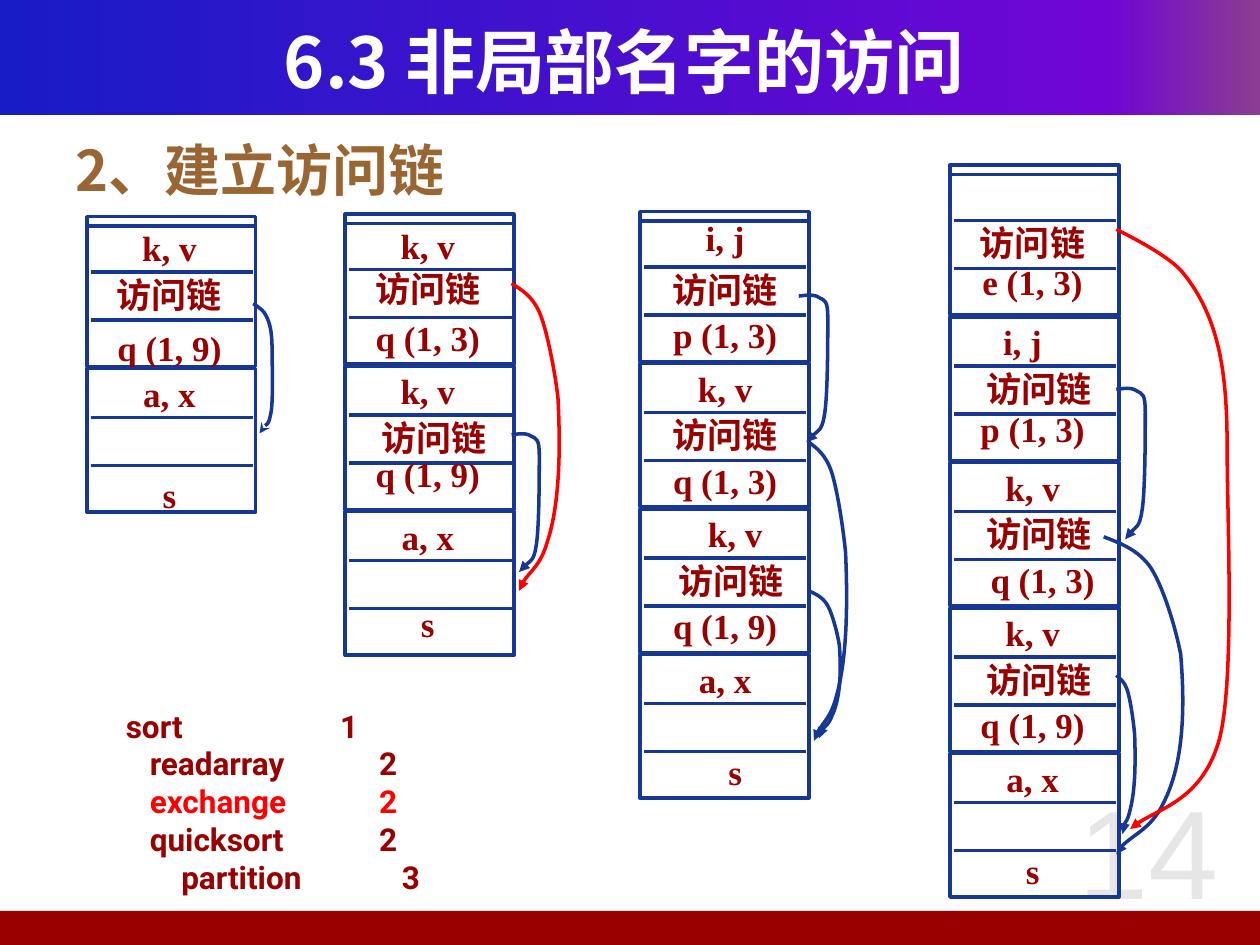
"""Builds a slide showing how access links are set up across four activation-record stacks."""
from copy import deepcopy
from dataclasses import dataclass
from typing import NamedTuple

from lxml.etree import SubElement
from pptx import Presentation
from pptx.dml.color import RGBColor
from pptx.enum.shapes import MSO_CONNECTOR, MSO_SHAPE
from pptx.enum.text import MSO_ANCHOR, MSO_AUTO_SIZE, PP_ALIGN
from pptx.oxml.ns import qn
from pptx.util import Emu, Inches, Pt

COLORS = {
    "navy": "163794", "maroon": "990000", "red": "FF0000", "brown": "996633",
    "white": "FFFFFF", "pale": "E6E6E6",
    "band_start": "181CC7", "band_middle": "7005D4", "band_end": "8C3D91",
}
CJK = "Noto Sans CJK SC"
WIDTH, HEIGHT = Inches(10), Inches(7.5)
COLUMN, ROW = WIDTH / 100, HEIGHT / 75

FRAME_WIDTH, FRAME_HEIGHT, FRAME_PITCH = 13.4, 11.4, 11.55
FIRST_EXTRA = 0.5
DIVIDERS = (3.9, 7.7)
LABEL_ROWS = (0.2, 3.9, 7.5)


class Label(NamedTuple):
    text: str
    shift: float = 0
    drop: float = 0


@dataclass
class Stack:
    left: float
    top: float
    frames: tuple[tuple[Label, ...], ...]
    shift: float = -0.2


@dataclass
class Link:
    start: tuple[float, float]
    end: tuple[float, float]
    bulge: float
    profile: str
    color: str = "navy"
    head: str = "triangle"


class Entry(NamedTuple):
    name: str
    level: str
    indent: float
    stop: float
    color: str = "maroon"


LINK, BLANK = Label("访问链"), Label("")
LINK_RIGHT = LINK._replace(shift=0.5)
KV, IJ, AX, S = map(Label, ("k, v", "i, j", "a, x", "s"))
P3, E3, Q3, Q9 = map(Label, ("p (1, 3)", "e (1, 3)", "q (1, 3)", "q (1, 9)"))

STACKS = (
    Stack(6.9, 17.2, ((KV, LINK, Q9._replace(drop=0.6)), (AX, BLANK, S._replace(drop=0.7)))),
    Stack(27.4, 17, (
        (KV, LINK._replace(drop=-0.3), Q3),
        (KV, LINK_RIGHT, Q9._replace(drop=-0.7)),
        (AX, BLANK, S._replace(drop=-0.4)))),
    Stack(50.8, 16.8, (
        (IJ._replace(drop=-0.4), LINK, P3), (KV, LINK, Q3),
        (KV._replace(shift=0.8), LINK_RIGHT, Q9), (AX, BLANK, S._replace(shift=0.8))), 0),
    Stack(75.4, 13.1, (
        (BLANK, LINK, E3._replace(drop=-0.5)),
        (IJ._replace(shift=-0.8), LINK_RIGHT, P3._replace(drop=-0.4)),
        (KV, LINK_RIGHT, Q3._replace(shift=0.8)), (KV, LINK_RIGHT, Q9), (AX, BLANK, S))),
)

PROFILES = {
    "hook": ((0.1, 0), (0.5, -0.02), (0.7, 0.01), (0.9, 0.03), (1, 0.03), (1, 0.15),
             (1, 0.3), (1, 0.7), (0.88, 0.82), (0.8, 0.92), (0.45, 0.95)),
    "sweep": ((0.2, 0.02), (0.44, 0.04), (0.6, 0.1), (0.75, 0.16), (0.9, 0.28), (0.97, 0.37),
              (1.03, 0.55), (1, 0.72), (0.75, 0.84), (0.6, 0.92), (0.25, 0.95)),
    "wide": ((0.1, 0.01), (0.44, 0.04), (0.59, 0.07), (0.95, 0.15), (1, 0.25), (1, 0.37),
             (1, 0.48), (1.07, 0.75), (0.93, 0.85), (0.78, 0.95), (0.3, 0.97)),
}

LINKS = (
    Link((20.1, 24.1), (20.6, 34.4), 21.6, "wide", head="stealth"),
    Link((40.6, 34.5), (41.2, 45.4), 42.8, "hook"),
    Link((40.6, 22.5), (41.2, 46.9), 44.4, "sweep", "red"),
    Link((63.4, 23.5), (64, 35.1), 65.7, "hook"),
    Link((64.2, 35.1), (64.6, 58.8), 67.2, "sweep"),
    Link((64.2, 46.9), (65, 58.6), 66.7, "sweep"),
    Link((88.6, 30.9), (89.3, 42.8), 90.9, "hook"),
    Link((87.6, 42.6), (88.6, 67.8), 93.9, "sweep"),
    Link((88.6, 53.6), (89.1, 66.2), 90.1, "sweep"),
    Link((88.6, 18.2), (89.7, 65.8), 97.4, "wide", "red"),
)

ENTRIES = (
    Entry("sort", "1", 0, 1.7),
    Entry("readarray", "2", 0.19, 2.01),
    Entry("exchange", "2", 0.19, 2.01, "red"),
    Entry("quicksort", "2", 0.19, 2.01),
    Entry("partition", "3", 0.44, 2.19),
)


def rgb(name: str) -> RGBColor:
    return RGBColor.from_string(COLORS[name])


def grid(left: float, top: float, width: float, height: float) -> tuple[Emu, ...]:
    return tuple(Emu(round(n * unit)) for n, unit in
                 ((left, COLUMN), (top, ROW), (width, COLUMN), (height, ROW)))


def write(para, text: str, face: str, size: float, color: str, bold: bool = True) -> None:
    span = para.add_run()
    span.text = text
    for key, value in {"name": face, "size": Pt(size), "bold": bold}.items():
        setattr(span.font, key, value)
    span.font.color.rgb = rgb(color)
    SubElement(span._r.get_or_add_rPr(), qn("a:ea"), typeface=CJK)


def format_frame(frame, side: float = 0.1, edge: float = 0.05, anchor=MSO_ANCHOR.TOP) -> None:
    formats = {
        "word_wrap": True, "auto_size": MSO_AUTO_SIZE.NONE, "vertical_anchor": anchor,
        "margin_left": Inches(side), "margin_right": Inches(side),
        "margin_top": Inches(edge), "margin_bottom": Inches(edge),
    }
    for key, value in formats.items():
        setattr(frame, key, value)


def add_text(page, place: tuple, text: str, face: str, size: float, color: str,
             align=PP_ALIGN.CENTER, bold: bool = True, **layout) -> None:
    frame = page.shapes.add_textbox(*grid(*place)).text_frame
    format_frame(frame, **layout)
    para = frame.paragraphs[0]
    para.alignment = align
    write(para, text, face, size, color, bold)


def stroke(item, color: str = "navy") -> None:
    item.line.color.rgb = rgb(color)
    item.line.width = Pt(2)


def add_box(page, place: tuple):
    box = page.shapes.add_shape(MSO_SHAPE.RECTANGLE, *grid(*place))
    box.shadow.inherit = False
    return box


def add_divider(page, left: float, right: float, row: float) -> None:
    start_x, y, end_x, _ = grid(left, row, right, 0)
    rule = page.shapes.add_connector(MSO_CONNECTOR.STRAIGHT, start_x, y, end_x, y)
    stroke(rule)
    SubElement(rule._element.spPr, qn("a:effectLst"))


def add_stack(page, stack: Stack) -> None:
    right = stack.left + FRAME_WIDTH
    for index, labels in enumerate(stack.frames):
        extra = 0 if index else FIRST_EXTRA
        top = stack.top + index * FRAME_PITCH + FIRST_EXTRA - extra
        box = add_box(page, (stack.left, top, FRAME_WIDTH, FRAME_HEIGHT + extra))
        box.fill.background()
        stroke(box)
        for offset in DIVIDERS:
            add_divider(page, stack.left + 0.3, right - 0.2, top + offset + extra)
        for label, row in zip(labels, LABEL_ROWS):
            if label.text:
                place = (stack.left + stack.shift + label.shift,
                         top + row + extra + label.drop, 13.5, 4.3)
                add_text(page, place, label.text, "Times New Roman", 20, "maroon", edge=0.01)
    add_divider(page, stack.left + 0.1, right, stack.top + 0.75)


def add_link(page, link: Link) -> None:
    (left, top), (_, bottom) = link.start, link.end
    inner = [(left + across * (link.bulge - left), top + down * (bottom - top))
             for across, down in PROFILES[link.profile]]
    points = [grid(*point, 0, 0)[:2] for point in (link.start, *inner, link.end)]
    builder = page.shapes.build_freeform(*points[0])
    builder.add_line_segments(points[1:], close=False)
    curve = builder.convert_to_shape()
    curve.shadow.inherit = False
    curve.fill.background()
    stroke(curve, link.color)
    outline = curve._element.xpath(".//a:path")[0]
    segments = outline.findall(qn("a:lnTo"))
    for first in range(0, len(segments), 3):
        bezier = SubElement(outline, qn("a:cubicBezTo"))
        for segment in segments[first:first + 3]:
            bezier.append(segment[0])
            outline.remove(segment)
    SubElement(curve.line._get_or_add_ln(), qn("a:tailEnd"), type=link.head)


def add_bands(page) -> None:
    header, footer = add_box(page, (0, 0, 100, 9.1)), add_box(page, (0, 72.3, 100, 2.7))
    header.fill.gradient()
    header.fill.gradient_angle = 0
    stops = header._element.xpath(".//a:gsLst")[0]
    stops.append(deepcopy(stops[0]))
    shades = (("band_start", 0), ("band_middle", 0.88), ("band_end", 1))
    for stop, (color, position) in zip(header.fill.gradient_stops, shades):
        stop.color.rgb = rgb(color)
        stop.position = position
    footer.fill.solid()
    footer.fill.fore_color.rgb = rgb("maroon")
    for band in (footer, header):
        band.line.fill.background()
        page.shapes._spTree.insert(2, band._element)


def add_entries(page) -> None:
    frame = page.shapes.add_textbox(*grid(9, 55.6, 26.8, 16)).text_frame
    format_frame(frame)
    for index, entry in enumerate(ENTRIES):
        para = frame.add_paragraph() if index else frame.paragraphs[0]
        tabs = SubElement(para._p.get_or_add_pPr(), qn("a:tabLst"))
        for stop in filter(None, (entry.indent, entry.stop)):
            SubElement(tabs, qn("a:tab"), pos=str(Inches(stop)), algn="l")
        lead = "\t" if entry.indent else ""
        write(para, f"{lead}{entry.name}\t{entry.level}", "Roboto", 18, entry.color)


def main() -> None:
    deck = Presentation()
    deck.slide_width, deck.slide_height = WIDTH, HEIGHT
    page = deck.slides.add_slide(deck.slide_layouts[5])
    title = page.shapes.title
    for key, value in zip(("left", "top", "width", "height"), grid(3.3, 1.7, 92.5, 6.2)):
        setattr(title, key, value)
    format_frame(title.text_frame, 0, 0, MSO_ANCHOR.MIDDLE)
    heading = title.text_frame.paragraphs[0]
    heading.alignment = PP_ALIGN.CENTER
    write(heading, "6.3 非局部名字的访问", CJK, 40, "white")
    add_bands(page)
    add_text(page, (5, 10.3, 90, 6.5), "2、建立访问链", CJK, 32, "brown", PP_ALIGN.LEFT)
    add_text(page, (82.3, 60.3, 17.7, 14.2), "14", "Arial", 72, "pale",
             bold=False, anchor=MSO_ANCHOR.MIDDLE)
    add_entries(page)
    for stack in STACKS:
        add_stack(page, stack)
    for link in LINKS:
        add_link(page, link)
    deck.save("out.pptx")


if __name__ == "__main__":
    main()
